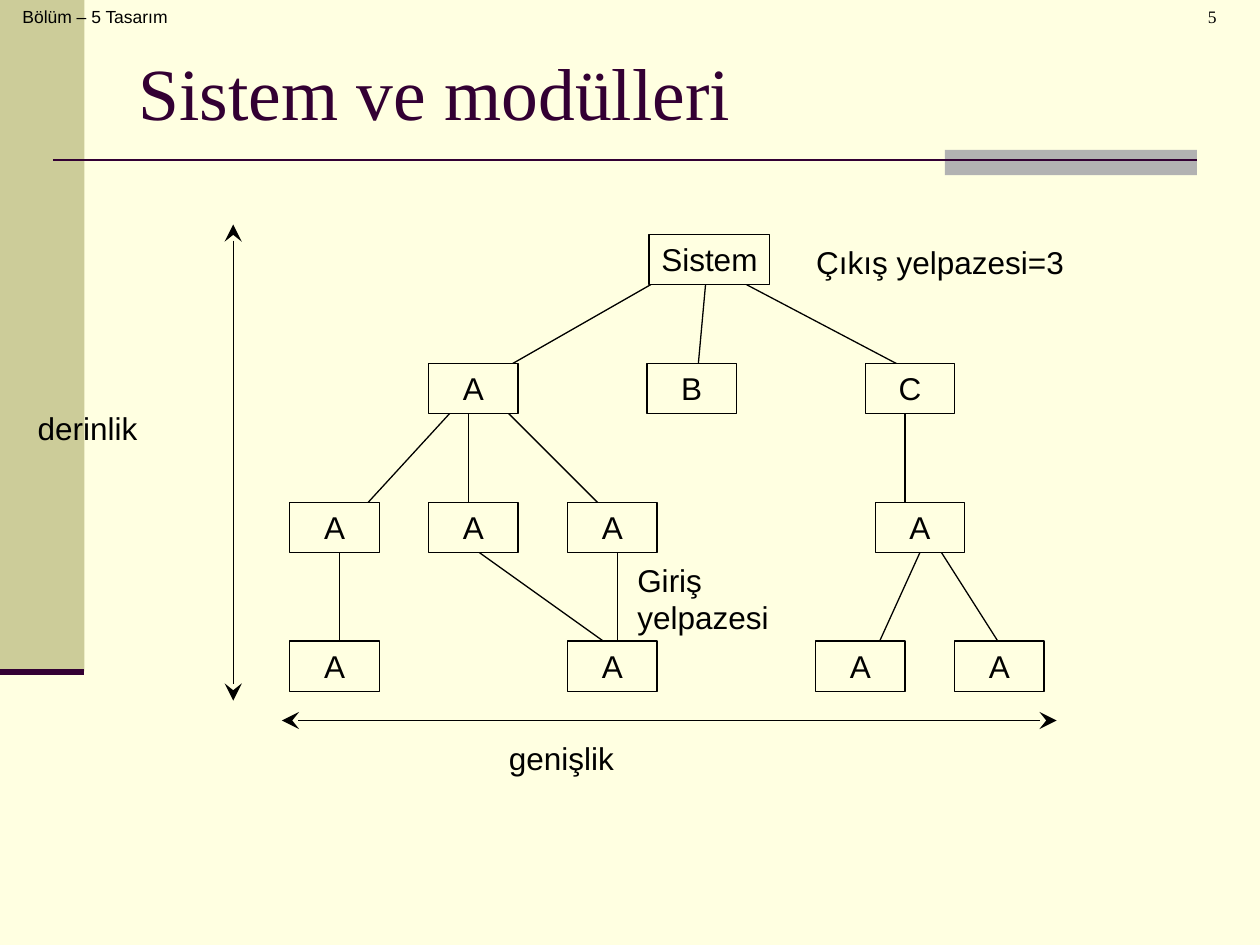
from dataclasses import dataclass

from pptx import Presentation
from pptx.dml.color import RGBColor
from pptx.enum.shapes import MSO_CONNECTOR, MSO_SHAPE
from pptx.enum.text import MSO_ANCHOR as Anchor, MSO_AUTO_SIZE as AutoSize, PP_ALIGN as Align
from pptx.oxml.ns import qn
from pptx.util import Inches, Pt
from lxml.etree import SubElement

INK, PLUM, PAPER, OLIVE, GRAY = "000000", "330033", "FFFFE1", "CCCC99", "B2B2B2"

# The tree stands on a 2 mm grid; node rows are 14 units apart below the first level
UNIT, LEFT, TOP = 2 / 25.4, 2.3, 1.86
ROOT_ROW, LEVEL_1, LEVEL_2, LEVEL_3 = 0, 13, 27, 41


@dataclass
class Node:
    label: str
    col: float
    row: float
    width: float = 0.71
    align: Align = Align.CENTER


@dataclass
class Link:
    start: tuple[float, float]
    end: tuple[float, float]
    arrows: bool = False


@dataclass
class Label:
    text: str
    left: float
    top: float
    width: float
    height: float = 0.4
    size: float = 18
    font: str = "Arial"
    align: Align = Align.LEFT


NODES = [
    Node("Sistem", 36.2, ROOT_ROW, 0.96, Align.LEFT),
    Node("A", 14, LEVEL_1), Node("B", 36, LEVEL_1), Node("C", 58, LEVEL_1),
    Node("A", 0, LEVEL_2), Node("A", 14, LEVEL_2),
    Node("A", 28, LEVEL_2), Node("A", 59, LEVEL_2),
    Node("A", 0, LEVEL_3), Node("A", 28, LEVEL_3),
    Node("A", 53, LEVEL_3), Node("A", 67, LEVEL_3),
]
LINKS = [
    Link((40, 3), (19, 15)), Link((42, 4), (41, 15)), Link((44, 4), (63, 14)),
    Link((18, 16), (7, 28)), Link((18, 16), (18, 29)), Link((20, 16), (33, 29)),
    Link((62, 17), (62, 29)), Link((64, 31), (59, 42)), Link((65, 31), (72, 42)),
    Link((5, 32), (5, 43)), Link((19, 32), (33, 42)), Link((33, 31), (33, 42)),
]
AXES = [
    Link((-0.8, 49), (77.3, 49), arrows=True),
    Link((-5.7, -1), (-5.7, 47), arrows=True),
]
LABELS = [
    Label("Çıkış yelpazesi=3", 6.38, 1.88, 2.16),
    Label("genişlik", 3.94, 5.82, 1.03),
    Label("Giriş\nyelpazesi", 4.96, 4.4, 1.24, 0.7),
    Label("derinlik", 0.2, 3.2, 0.99),
]
HEADER = Label("Bölüm – 5 Tasarım", 0.08, 0, 1.61, 0.44, size=10)
PAGE_NUMBER = Label("5", 9.13, 0, 0.98, 0.5, 10, "Times New Roman", Align.CENTER)


def color(code: str) -> RGBColor:
    return RGBColor.from_string(code)


def grid_point(col: float, row: float) -> tuple[float, float]:
    return LEFT + col * UNIT, TOP + row * UNIT


def style_text(frame, text: str, size: float, font: str, ink: str, align: Align) -> None:
    frame.text = text
    frame.word_wrap = True
    frame.auto_size = AutoSize.NONE
    if align == Align.LEFT:
        frame.margin_right = 0  # spare room keeps each caption on its line
    for para in frame.paragraphs:
        para.alignment = align
        para.font.size = Pt(size)
        para.font.name = font
        para.font.color.rgb = color(ink)


def add_box(page, left: float, top: float, width: float, height: float, fill: str):
    box = page.shapes.add_shape(
        MSO_SHAPE.RECTANGLE, Inches(left), Inches(top), Inches(width), Inches(height))
    box.shadow.inherit = False
    box.fill.solid()
    box.fill.fore_color.rgb = color(fill)
    box.line.fill.background()
    return box


def add_line(page, start: tuple, end: tuple, ink: str, weight: float, arrows: bool = False) -> None:
    line = page.shapes.add_connector(
        MSO_CONNECTOR.STRAIGHT, *(Inches(value) for value in (*start, *end)))
    line.line.color.rgb = color(ink)
    line.line.width = Pt(weight)
    properties = line._element.spPr
    if arrows:
        for tag in ("a:headEnd", "a:tailEnd"):
            tip = SubElement(properties.find(qn("a:ln")), qn(tag))
            tip.set("type", "stealth")
            tip.set("w", "lg")
            tip.set("len", "lg")
    SubElement(properties, qn("a:effectLst"))


def add_link(page, link: Link) -> None:
    add_line(page, grid_point(*link.start), grid_point(*link.end), INK, 0.75, link.arrows)


def add_node(page, node: Node) -> None:
    box = add_box(page, *grid_point(node.col, node.row), node.width, 0.4, PAPER)
    box.line.color.rgb = color(INK)
    box.line.width = Pt(0.75)
    box.text_frame.vertical_anchor = Anchor.TOP
    style_text(box.text_frame, node.label, 18, "Arial", INK, node.align)


def add_label(page, label: Label) -> None:
    box = page.shapes.add_textbox(
        Inches(label.left), Inches(label.top), Inches(label.width), Inches(label.height))
    style_text(box.text_frame, label.text, label.size, label.font, INK, label.align)


def main() -> None:
    deck = Presentation()
    deck.slide_width, deck.slide_height = Inches(10), Inches(7.5)
    page = deck.slides.add_slide(deck.slide_layouts[5])
    page.background.fill.solid()
    page.background.fill.fore_color.rgb = color(PAPER)

    # Side band, title rule and header
    add_box(page, 0, 0, 0.67, 5.33, OLIVE)
    add_box(page, 7.5, 1.19, 2, 0.2, GRAY)
    add_line(page, (0.42, 1.27), (9.5, 1.27), PLUM, 1.5)
    add_line(page, (0, 5.33), (0.67, 5.33), PLUM, 3.5)
    add_label(page, HEADER)

    # Title
    title = page.shapes.title
    title.left, title.top = Inches(1), Inches(0.3)
    title.width, title.height = Inches(8.5), Inches(0.85)
    title.text_frame.vertical_anchor = Anchor.MIDDLE
    style_text(title.text_frame, "Sistem ve modülleri", 42, "Times New Roman", PLUM, Align.LEFT)

    # Module tree: links lie behind the nodes
    for link in LINKS:
        add_link(page, link)
    for node in NODES:
        add_node(page, node)

    # Captions, depth and width arrows, page number
    for label in LABELS:
        add_label(page, label)
    for axis in AXES:
        add_link(page, axis)
    add_label(page, PAGE_NUMBER)

    deck.save("out.pptx")


if __name__ == "__main__":
    main()
